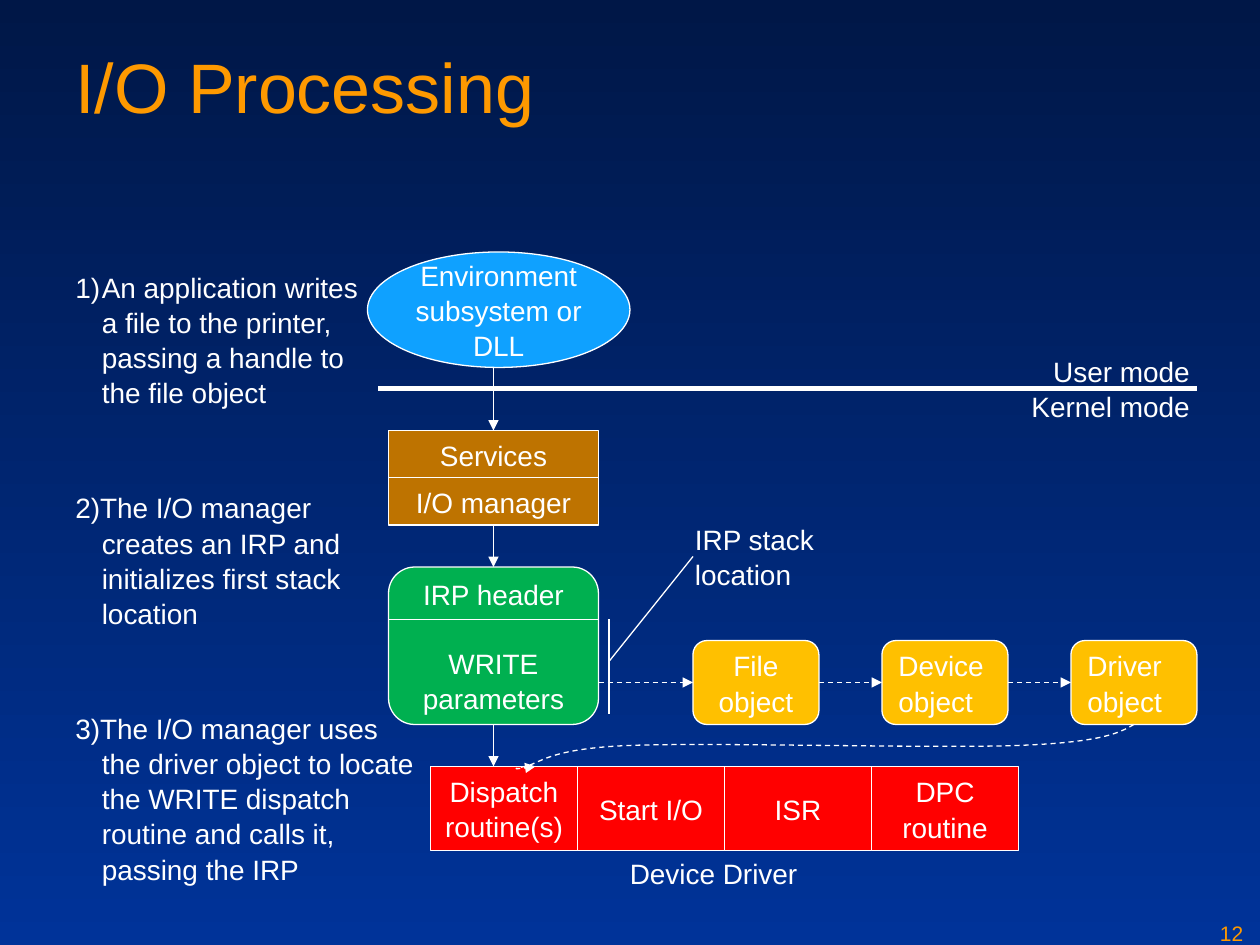
from lxml.etree import SubElement
from pptx import Presentation
from pptx.dml.color import RGBColor
from pptx.enum.dml import MSO_LINE_DASH_STYLE as DASH
from pptx.enum.shapes import MSO_CONNECTOR, MSO_SHAPE
from pptx.enum.text import MSO_ANCHOR, PP_ALIGN
from pptx.oxml.ns import qn
from pptx.util import Inches, Pt

WHITE = RGBColor(0xFF, 0xFF, 0xFF)
ORANGE = RGBColor(0xFE, 0x99, 0x00)
BLUE = RGBColor(0x0F, 0xA1, 0xFF)
BROWN = RGBColor(0xBE, 0x73, 0x00)
GREEN = RGBColor(0x00, 0xB0, 0x50)
AMBER = RGBColor(0xFF, 0xC0, 0x00)
RED = RGBColor(0xFF, 0x00, 0x00)
NIGHT = RGBColor(0x00, 0x17, 0x47)
NAVY = RGBColor(0x00, 0x33, 0x99)

COLUMNS, ROWS = 120, 90
WIDTH, HEIGHT = Inches(10), Inches(7.5)
TOP, LEFT, BOTTOM, RIGHT = range(4)

STEPS = [
    (25, 29.4, "An application writes\va file to the printer,\v"
               "passing a handle to\vthe file object"),
    (46, 28.6, "2)The I/O manager \vcreates an IRP and \v"
               "initializes first stack \vlocation"),
    (67, 34.8, "3)The I/O manager uses\vthe driver object to locate\v"
               "the WRITE dispatch \vroutine and calls it, \vpassing the IRP"),
]


def grid(*cells):
    """Turn alternating column and row counts into lengths."""
    units = (WIDTH / COLUMNS, HEIGHT / ROWS)
    return [round(cell * units[i % 2]) for i, cell in enumerate(cells)]


def write(frame, text, align=PP_ALIGN.LEFT, anchor=MSO_ANCHOR.TOP, wrap=False,
          size=16, color=WHITE, spacing=1.05):
    frame.text = text
    frame.word_wrap = wrap
    frame.vertical_anchor = anchor
    for paragraph in frame.paragraphs:
        paragraph.alignment = align
        paragraph.line_spacing = spacing
        for run in paragraph.runs:
            run.font.name = "Arial"
            run.font.size = Pt(size)
            run.font.color.rgb = color
        for line_break in paragraph._p.findall(qn("a:br")):
            SubElement(line_break, qn("a:rPr"), sz=str(size * 100))


def add_node(slide, kind, place, fill, text, align=PP_ALIGN.CENTER,
             anchor=MSO_ANCHOR.MIDDLE, wrap=False):
    node = slide.shapes.add_shape(kind, *grid(*place))
    node.shadow.inherit = False
    node.fill.solid()
    node.fill.fore_color.rgb = fill
    draw_line(node.line)
    write(node.text_frame, text, align, anchor, wrap)
    return node


def add_label(slide, place, text, **style):
    label = slide.shapes.add_textbox(*grid(*place))
    write(label.text_frame, text, **style)
    return label


def draw_line(line, width=0.75, dashed=False, arrow=False):
    line.color.rgb = WHITE
    line.width = Pt(width)
    if dashed:
        line.dash_style = DASH.DASH
    if arrow:
        SubElement(line._get_or_add_ln(), qn("a:tailEnd"), type="triangle")


def add_link(slide, ends, start=None, finish=None, **style):
    """Draw a straight line; start and finish are (shape, side) joints."""
    link = slide.shapes.add_connector(MSO_CONNECTOR.STRAIGHT, *grid(*ends))
    if start:
        link.begin_connect(*start)
    if finish:
        link.end_connect(*finish)
    draw_line(link.line, **style)
    SubElement(link._element.spPr, qn("a:effectLst"))


def add_curve(slide, start, points):
    """Draw a dashed arrow along cubic curves, three points to each."""
    builder = slide.shapes.build_freeform(*grid(*start))
    builder.add_line_segments([grid(*point) for point in points], close=False)
    curve = builder.convert_to_shape()
    curve.shadow.inherit = False
    curve.fill.background()
    draw_line(curve.line, dashed=True, arrow=True)
    outline = next(curve._element.iter(qn("a:path")))
    segments = outline.findall(qn("a:lnTo"))
    for first in range(0, len(segments), 3):
        bend = SubElement(outline, qn("a:cubicBezTo"))
        for segment in segments[first:first + 3]:
            bend.append(segment[0])
            outline.remove(segment)


def paint_background(slide):
    fill = slide.background.fill
    fill.gradient()
    fill.gradient_angle = 270
    for stop, color in zip(fill.gradient_stops, (NIGHT, NAVY)):
        stop.color.rgb = color


def add_title(slide):
    title = slide.shapes.title
    title.left, title.top, title.width, title.height = grid(6, 2.9, 108, 15)
    write(title.text_frame, "I/O Processing", wrap=True, size=40, color=ORANGE,
          spacing=1)
    title.text_frame.margin_top = Inches(0.1)


def add_steps(slide):
    for number, (row, width, text) in enumerate(STEPS):
        step = add_label(slide, (6, row, width, 14), text)
        properties = step.text_frame.paragraphs[0]._p.get_or_add_pPr()
        properties.set("marL", str(Inches(0.21)))
        properties.set("indent", str(Inches(-0.21)))
        if number == 0:
            SubElement(properties, qn("a:buAutoNum"), type="arabicParenR")


def add_request_flow(slide):
    """Stack the subsystem, the I/O manager and the IRP; return the IRP."""
    add_node(slide, MSO_SHAPE.OVAL, (35, 24, 25, 11), BLUE,
             "Environment\vsubsystem or\vDLL")
    services, manager = [
        add_node(slide, MSO_SHAPE.RECTANGLE, (37, row, 20, 4.5), BROWN, text,
                 anchor=MSO_ANCHOR.TOP, wrap=True)
        for row, text in ((41, "Services"), (45.5, "I/O manager"))]
    irp = add_node(slide, MSO_SHAPE.ROUNDED_RECTANGLE, (37, 54, 20, 15), GREEN,
                   "IRP header\nWRITE\nparameters")
    irp.text_frame.paragraphs[1].space_before = Pt(19)
    add_link(slide, (37, 59, 57, 59))

    add_link(slide, (47, 35, 47, 41), finish=(services, TOP), arrow=True)
    add_link(slide, (47, 50, 47, 54), (manager, BOTTOM), (irp, TOP), arrow=True)
    add_link(slide, (47, 69, 47, 73), (irp, BOTTOM), arrow=True)

    add_label(slide, (65, 49, 13.8, 7.7), "IRP stack\vlocation")
    add_link(slide, (58, 59, 58, 68))
    add_link(slide, (66, 53, 58, 63))
    return irp


def add_objects(slide):
    previous = None
    names = (("File", PP_ALIGN.CENTER), ("Device", PP_ALIGN.LEFT),
             ("Driver", PP_ALIGN.LEFT))
    for index, (name, align) in enumerate(names):
        column = 66 + 18 * index
        node = add_node(slide, MSO_SHAPE.ROUNDED_RECTANGLE, (column, 61, 12, 8),
                        AMBER, f"{name}\vobject", align)
        gap = 6 if previous else 9
        add_link(slide, (column - gap, 65, column, 65),
                 (previous, RIGHT) if previous else None, (node, LEFT),
                 dashed=True, arrow=True)
        previous = node


def add_driver(slide):
    routines = ("Dispatch\vroutine(s)", "Start I/O", "ISR", "DPC routine")
    for index, routine in enumerate(routines):
        add_node(slide, MSO_SHAPE.RECTANGLE, (41 + 14 * index, 73, 14, 8), RED,
                 routine, wrap=True,
                 anchor=MSO_ANCHOR.MIDDLE if index else MSO_ANCHOR.TOP)
    add_label(slide, (58.8, 80.8, 18.4, 4.4), "Device Driver")
    add_curve(slide, (108, 69), [
        (106.6, 69.8), (105, 70.7), (97, 71),
        (89, 71.3), (67.8, 70.7), (60, 71),
        (52.2, 71.3), (51.5, 72.7), (50, 73),
        (48.5, 73.3), (49.8, 73.2), (51, 73)])


def main():
    deck = Presentation()
    deck.slide_width, deck.slide_height = WIDTH, HEIGHT
    slide = deck.slides.add_slide(deck.slide_layouts[5])
    paint_background(slide)
    add_title(slide)
    add_request_flow(slide)
    add_objects(slide)
    add_driver(slide)
    add_steps(slide)
    add_link(slide, (36, 37, 114, 37), width=3)
    add_label(slide, (97, 33, 17.5, 7.7), "User mode\nKernel mode",
              align=PP_ALIGN.RIGHT)
    add_label(slide, (115, 87, 5, 3), "12", size=12, color=ORANGE)
    deck.save("out.pptx")


if __name__ == "__main__":
    main()
